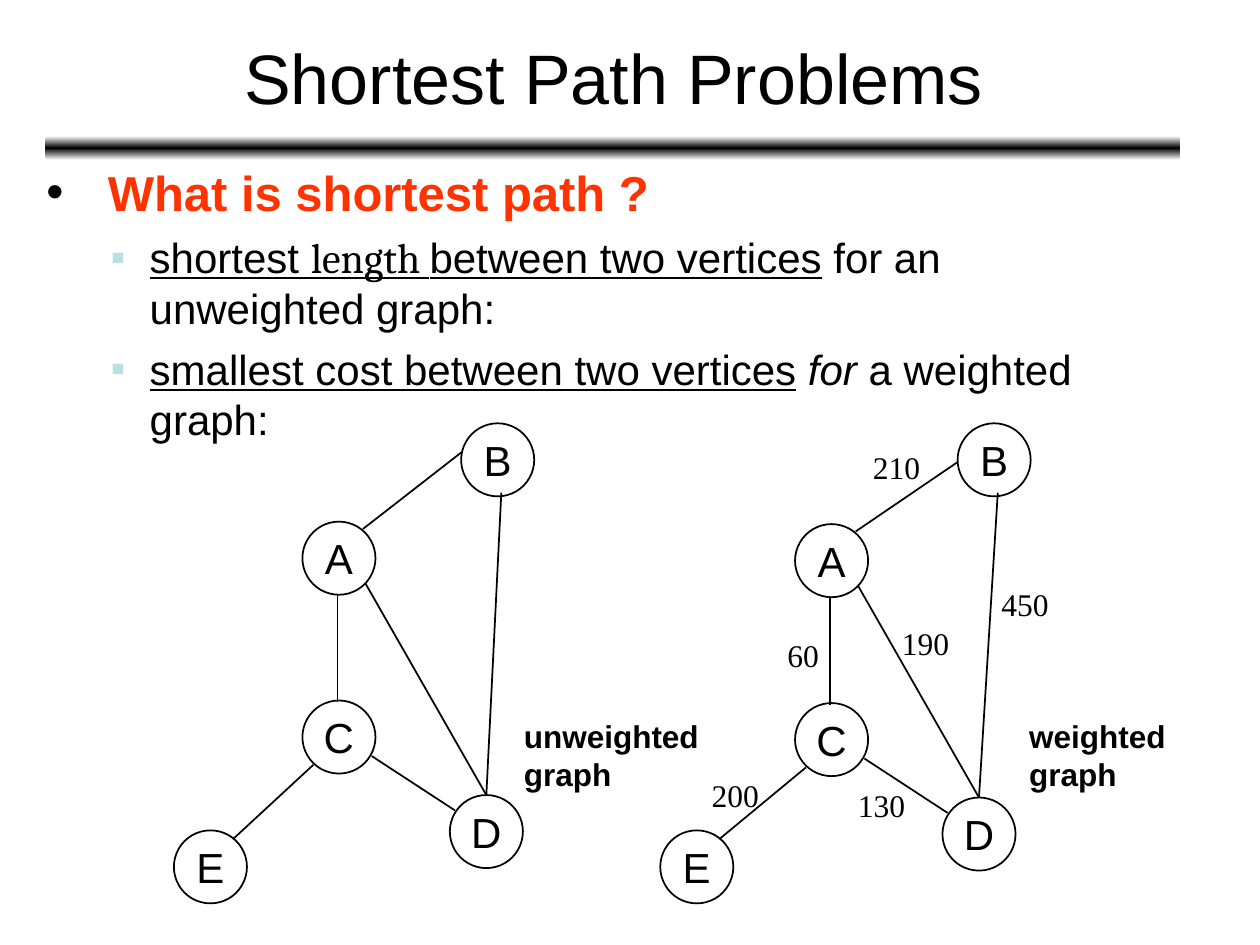
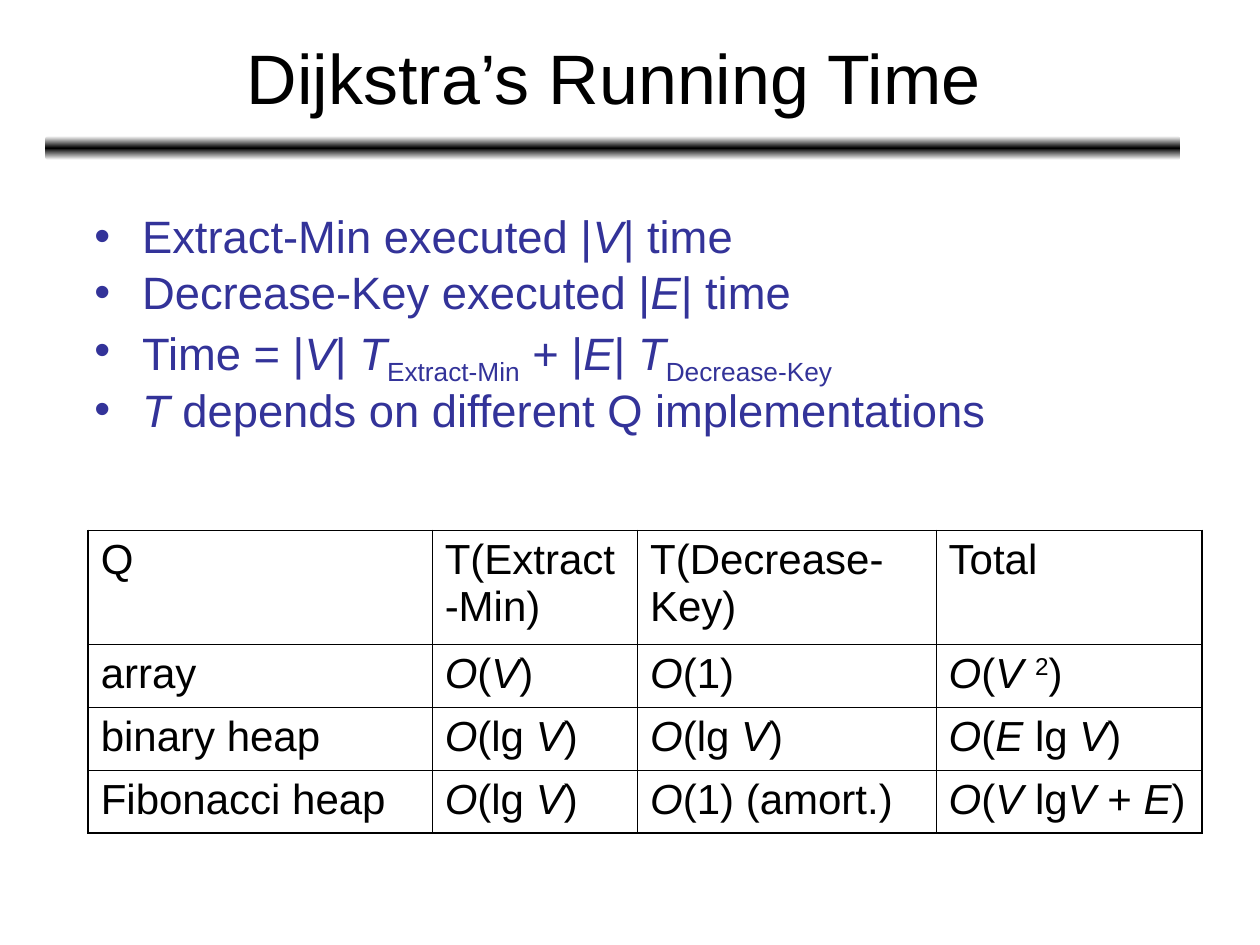
from lxml import etree
from pptx import Presentation, util as u
from pptx.dml.color import RGBColor
from pptx.enum import shapes, text
from pptx.oxml import ns

COLORS = {"ink": "000000", "paper": "FFFFFF", "accent": "FF3300",
          "blue": "333399", "pale": "BBE0E3"}
COLS, ROWS = 100, 75          # slide grid, one unit is a tenth of an inch
UNIT = u.Inches(0.1)
NODE = 5.8                    # diameter of a vertex, in grid units
THIN, THICK = 0.45, 1.08      # table rules, in points

# Markup signs that switch a run style on and off
MARKS = "*_~^`#"              # italic, underline, sub, super, Cambria, accent

# Vertices in grid units from the corner of a graph
VERTICES = {"B": (22.8, 0), "D": (21.9, 29.5), "C": (10.2, 22),
            "A": (10.2, 7.8), "E": (0, 32.3)}
# Where each edge leaves and meets its vertices, as shares of the diameter
EDGES = {"DB": ((0.5, 0), (0.55, 0.95)), "AB": ((0.83, 0.1), (0, 0.4)),
         "AD": ((0.86, 0.84), (0.5, 0)), "CA": ((0.48, 0.02), (0.48, 1)),
         "EC": ((0.81, 0.12), (0.15, 0.88)), "CD": ((0.95, 0.76), (0.07, 0.21))}

RUNNING_TIMES = [
    ["Q", "T(Extract-Min)", "T(Decrease-Key)", "Total"],
    ["array", "*Ο*(*V*)", "*Ο*(1)", "*Ο*(*V *^2^)"],
    ["binary heap", "*Ο*(lg* V*)", "*Ο*(lg *V*)", "*Ο*(*E* lg *V*)"],
    ["Fibonacci heap", "*Ο*(lg* V*)", "*Ο*(1) (amort.)", "*Ο*(*V* lg*V* + *E*)"],
]


def rgb(name):
    return RGBColor.from_string(COLORS[name])


def grid(*lengths):
    return [u.Emu(round(n * UNIT)) for n in lengths]


def sub(parent, tag, **attrs):
    return etree.SubElement(parent, ns.qn(tag), **attrs)


def style(r, size, color="ink", font="Arial", bold=False):
    r.font.size, r.font.name, r.font.bold = u.Pt(size), font, bold
    r.font.color.rgb = rgb(color)


def rich(p, marked, size, color="ink", bold=False):
    """Write marked text as runs."""
    on, pieces = set(), [("", set())]
    for ch in marked:
        if ch in MARKS:
            on ^= {ch}
            pieces.append(("", set(on)))
        else:
            pieces[-1] = (pieces[-1][0] + ch, pieces[-1][1])
    for words, flags in pieces:
        if not words:
            continue
        r = p.add_run()
        r.text = words
        style(r, size, "accent" if "#" in flags else color,
              "Cambria" if "`" in flags else "Arial", bold)
        r.font.italic, r.font.underline = "*" in flags, "_" in flags
        for mark, shift in (("~", "-25000"), ("^", "30000")):
            if mark in flags:
                r._r.get_or_add_rPr().set("baseline", shift)


def bullet(p, char, color, left, hang):
    pPr = p._p.get_or_add_pPr()
    pPr.set("marL", str(u.Inches(left)))
    pPr.set("indent", str(-u.Inches(hang)))
    sub(sub(pPr, "a:buClr"), "a:srgbClr", val=COLORS[color])
    sub(pPr, "a:buFont", typeface="Arial")
    sub(pPr, "a:buChar", char=char)


def text_box(s, box, words="", size=18, font="Arial", bold=False,
             align=None, anchor=text.MSO_ANCHOR.TOP):
    tf = s.shapes.add_textbox(*grid(*box)).text_frame
    tf.word_wrap, tf.vertical_anchor = True, anchor
    if words:
        tf.text = words
        p = tf.paragraphs[0]
        p.alignment = align
        style(p.runs[0], size, font=font, bold=bold)
    return tf


def add_paragraph(tf, before, spacing=None):
    p = tf.paragraphs[0] if not tf.paragraphs[0].runs else tf.add_paragraph()
    p.space_before = u.Pt(before)
    if spacing:
        p.line_spacing = spacing
    return p


def title_slide_frame(prs, title):
    """Start a slide with the gradient bar and its title."""
    s = prs.slides.add_slide(prs.slide_layouts[6])
    bar = s.shapes.add_shape(shapes.MSO_SHAPE.ROUNDED_RECTANGLE,
                             *grid(3.6, 10.8, 90.1, 1.9))
    bar.shadow.inherit = False
    bar.line.fill.background()
    bar.fill.gradient()
    bar.fill.gradient_angle = 90
    stops = bar._element.spPr.find(".//" + ns.qn("a:gsLst"))
    for stop in list(stops):
        stops.remove(stop)
    for share, name in ((0, "paper"), (50, "ink"), (100, "paper")):
        sub(sub(stops, "a:gs", pos=str(share * 1000)), "a:srgbClr", val=COLORS[name])
    text_box(s, (3.7, 1.1, 90, 9.9), title, 40, align=text.PP_ALIGN.CENTER,
             anchor=text.MSO_ANCHOR.MIDDLE)
    return s


def definition(s, box):
    """Question with its two answers."""
    tf = text_box(s, box)
    p = add_paragraph(tf, 7)
    rich(p, " #What is shortest path ?#", 28, bold=True)
    bullet(p, "•", "ink", 0.38, 0.38)
    for line in ("_shortest `length `between two vertices_ for an unweighted graph:",
                 "_smallest cost between two vertices_* for* a weighted graph:"):
        p = add_paragraph(tf, 6)
        rich(p, line, 24)
        bullet(p, "▪", "pale", 0.82, 0.31)


def graph(s, left, top, caption, caption_box, moved=None, ports=None, weights=None):
    """Graph of five vertices, with optional edge weights."""
    spots = {**VERTICES, **(moved or {})}
    spots = {name: (left + x, top + y) for name, (x, y) in spots.items()}
    # Vertices
    for name, (x, y) in spots.items():
        sp = s.shapes.add_shape(shapes.MSO_SHAPE.OVAL, *grid(x, y, NODE, NODE))
        sp.shadow.inherit = False
        sp.fill.background()
        sp.line.color.rgb, sp.line.width = rgb("ink"), u.Pt(1)
        tf = sp.text_frame
        tf.text = name
        tf.word_wrap, tf.vertical_anchor = False, text.MSO_ANCHOR.MIDDLE
        tf.paragraphs[0].alignment = text.PP_ALIGN.CENTER
        style(tf.paragraphs[0].runs[0], 24)
    # Edges
    for pair, ends in {**EDGES, **(ports or {})}.items():
        points = [spots[name][axis] + NODE * port[axis]
                  for name, port in zip(pair, ends) for axis in (0, 1)]
        line = s.shapes.add_connector(shapes.MSO_CONNECTOR.STRAIGHT, *grid(*points))
        line.line.color.rgb, line.line.width = rgb("ink"), u.Pt(1)
        sub(line._element.spPr, "a:effectLst")
    # Weights, with a little room to spare so that they stay on one line
    for weight, (x, y) in (weights or {}).items():
        width = 2.4 + 1.2 * len(weight)
        text_box(s, (left + x, top + y, width, 4), weight, font="Times New Roman")
    # Caption
    x, y, width = caption_box
    text_box(s, (left + x, top + y, width, 7), caption, bold=True)


def cost_notes(s, box):
    """Bulleted cost formula."""
    tf = text_box(s, box)
    for line in ("Extract-Min executed |*V*| time",
                 "Decrease-Key executed |*E*| time",
                 "Time = |*V*| *T*~Extract-Min~ + |*E*| *T*~Decrease-Key~",
                 "*T* depends on different Q implementations"):
        p = add_paragraph(tf, 7, 0.8)
        rich(p, line, 25.9, "blue")
        bullet(p, "•", "blue", 0.38, 0.38)


def rule_cell(cell, edges):
    """Draw the four borders of a cell; edges tells which are outer ones."""
    cell.fill.background()
    tcPr = cell._tc.get_or_add_tcPr()
    for i, (side, outer) in enumerate(zip("LRTB", edges)):
        width = u.Pt(THICK if outer else THIN)
        ln = etree.Element(ns.qn("a:ln" + side), w=str(width))
        sub(sub(ln, "a:solidFill"), "a:srgbClr", val=COLORS["ink"])
        tcPr.insert(i, ln)


def time_table(s, box, widths, heights):
    """Running times by queue implementation."""
    last_row, last_col = len(heights) - 1, len(widths) - 1
    table = s.shapes.add_table(len(heights), len(widths), *grid(*box)).table
    table.first_row = table.horz_banding = False
    for column, width in zip(table.columns, grid(*widths)):
        column.width = width
    for row, height in zip(table.rows, grid(*heights)):
        row.height = height
    for i, row in enumerate(RUNNING_TIMES):
        for j, words in enumerate(row):
            cell = table.cell(i, j)
            p = cell.text_frame.paragraphs[0]
            p.space_before = u.Pt(6)
            rich(p, words, 24)
            rule_cell(cell, (j == 0, j == last_col, i == 0, i == last_row))


def shortest_path_slide(prs):
    s = title_slide_frame(prs, "Shortest Path Problems")
    definition(s, (2.7, 12.4, 90.6, 23.4))
    graph(s, 13.8, 33.6, "unweighted graph", (26.8, 22.8, 16.5))
    graph(s, 52.9, 33.8, "weighted graph", (27.8, 22.6, 15.7),
          moved={"B": (23.1, -0.2), "E": (-0.5, 32.1)},
          ports={"AB": ((0.83, 0.1), (0, 0.53))},
          weights={"200": (2.6, 27.3), "60": (8.6, 16.2), "130": (14.2, 28.1),
                   "190": (17.7, 15.2), "450": (25.6, 12.1), "210": (15.4, 1.3)})


def running_time_slide(prs):
    s = title_slide_frame(prs, "Dijkstra’s Running Time")
    cost_notes(s, (6.5, 16.9, 91.4, 19.1))
    time_table(s, (7, 42.1, 88.4, 24), (27.3, 16.3, 23.7, 21.1), (9, 5, 5, 5))


def main():
    prs = Presentation()
    prs.slide_width, prs.slide_height = grid(COLS, ROWS)
    shortest_path_slide(prs)
    running_time_slide(prs)
    prs.save("out.pptx")


if __name__ == "__main__":
    main()
